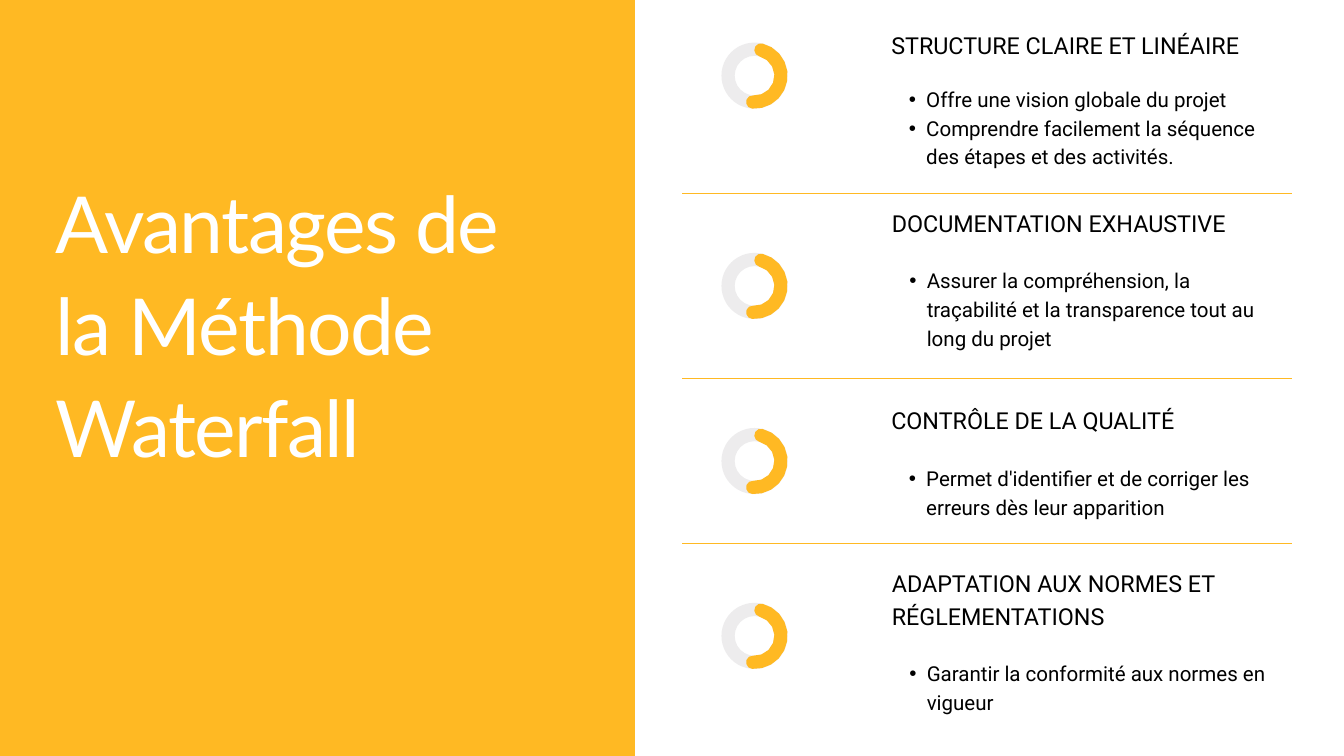
from dataclasses import dataclass
from math import cos, radians, sin

from lxml.etree import SubElement
from pptx import Presentation
from pptx.dml.color import RGBColor
from pptx.enum.shapes import MSO_CONNECTOR, MSO_SHAPE
from pptx.enum.text import MSO_ANCHOR, MSO_AUTO_SIZE, PP_ALIGN
from pptx.oxml.ns import qn
from pptx.util import Cm, Pt

COLORS = {"yellow": "FFB923", "grey": "EDECED", "black": "000000", "white": "FFFFFF"}
RING_X, RING_R, RING_W = 28.52, 1.25, 0.5
TEXT_W = 14.25


@dataclass
class Benefit:
    heading: str
    points: list[str]
    x: float
    heading_y: float
    heading_h: float
    list_y: float
    list_h: float
    ring_y: float


BENEFITS = [
    Benefit("STRUCTURE CLAIRE ET LINÉAIRE",
            ["Offre une vision globale du projet",
             "Comprendre facilement la séquence des étapes et des activités."],
            33.69, 1.02, 1.14, 3.13, 3.18, 2.86),
    Benefit("DOCUMENTATION EXHAUSTIVE",
            ["Assurer la compréhension, la traçabilité et la transparence "
             "tout au long du projet"],
            33.71, 7.72, 1.14, 9.98, 3.18, 10.81),
    Benefit("CONTRÔLE DE LA QUALITÉ",
            ["Permet d'identifier et de corriger les erreurs dès leur apparition"],
            33.69, 15.19, 1.14, 17.46, 2.08, 17.43),
    Benefit("ADAPTATION AUX NORMES ET RÉGLEMENTATIONS",
            ["Garantir la conformité aux normes en vigueur"],
            33.71, 21.34, 2.36, 24.83, 2.08, 24.04),
]
DIVIDERS = [7.31, 14.32, 20.54]


def rgb(name: str) -> RGBColor:
    return RGBColor.from_string(COLORS[name])


def place(sp, x: float, y: float, w: float, h: float) -> None:
    sp.left, sp.top, sp.width, sp.height = Cm(x), Cm(y), Cm(w), Cm(h)


def write(sp, *lines: str, size: float, leading: float, font: str = "Roboto",
          color: str = "black", bullet: bool = False, spacing: int = 0) -> None:
    tf = sp.text_frame
    tf.word_wrap = True
    tf.auto_size = MSO_AUTO_SIZE.NONE
    tf.vertical_anchor = MSO_ANCHOR.TOP
    tf.margin_left = tf.margin_right = tf.margin_top = tf.margin_bottom = 0
    for i, line in enumerate(lines):
        p = tf.paragraphs[0] if i == 0 else tf.add_paragraph()
        p.alignment = PP_ALIGN.LEFT
        p.line_spacing = Pt(leading)
        p.space_before = p.space_after = Pt(0)
        if bullet:
            p.level = 1
            pPr = p._p.get_or_add_pPr()
            pPr.set("marL", str(Cm(1.32)))
            pPr.set("indent", str(-Cm(0.66)))
            SubElement(pPr, qn("a:buFont")).set("typeface", "Arial")
            SubElement(pPr, qn("a:buChar")).set("char", "•")
        r = p.add_run()
        r.text = line
        r.font.name = font
        r.font.size = Pt(size)
        r.font.bold = False
        r.font.color.rgb = rgb(color)
        if spacing:
            r._r.get_or_add_rPr().set("spc", str(spacing))


def paint(sp, color: str) -> None:
    sp.shadow.inherit = False
    sp.fill.solid()
    sp.fill.fore_color.rgb = rgb(color)
    sp.line.fill.background()


def arc(x: float, y: float, r: float, start: float, end: float,
        steps: int) -> list[tuple[int, int]]:
    angles = [radians(start + (end - start) * i / steps) for i in range(steps + 1)]
    return [(Cm(x + r * sin(a)), Cm(y - r * cos(a))) for a in angles]


def cap(y: float, angle: float, turn: float) -> list[tuple[int, int]]:
    a, mid = radians(angle), RING_R - RING_W / 2
    x, y = RING_X + mid * sin(a), y - mid * cos(a)
    return arc(x, y, RING_W / 2, turn, turn + 180, 5)[1:-1]


def ring(s, y: float, start: float = 14, end: float = 184) -> None:
    sp = s.shapes.add_shape(MSO_SHAPE.DONUT, Cm(RING_X - RING_R), Cm(y - RING_R),
                            Cm(2 * RING_R), Cm(2 * RING_R))
    sp.adjustments[0] = RING_W / (2 * RING_R)
    paint(sp, "grey")
    points = (arc(RING_X, y, RING_R, start, end, 10) + cap(y, end, end)
              + arc(RING_X, y, RING_R - RING_W, end, start, 7)
              + cap(y, start, start + 180))
    builder = s.shapes.build_freeform(*points[0])
    builder.add_line_segments(points[1:], close=True)
    paint(builder.convert_to_shape(), "yellow")


def divider(s, y: float) -> None:
    line = s.shapes.add_connector(MSO_CONNECTOR.STRAIGHT,
                                  Cm(25.78), Cm(y), Cm(48.82), Cm(y))
    line.line.color.rgb = rgb("yellow")
    line.line.width = Pt(1.5)
    SubElement(line._element.spPr, qn("a:effectLst"))


def benefit(s, body, item: Benefit) -> None:
    ring(s, item.ring_y)
    heading = s.shapes.add_textbox(Cm(item.x), Cm(item.heading_y),
                                   Cm(TEXT_W), Cm(item.heading_h))
    write(heading, item.heading, size=25, leading=35)
    place(body, item.x, item.list_y, TEXT_W, item.list_h)
    write(body, *item.points, size=22, leading=30.8, bullet=True)


def main() -> None:
    prs = Presentation()
    prs.slide_width, prs.slide_height = Cm(50.8), Cm(28.58)
    s = prs.slides.add_slide(prs.slide_layouts[4])
    title, *bodies = list(s.placeholders)[:5]

    panel = s.shapes.add_shape(MSO_SHAPE.RECTANGLE, 0, 0, Cm(24), prs.slide_height)
    paint(panel, "yellow")
    title._element.addprevious(panel._element)
    place(title, 2.11, 6.3, 18, 15.4)
    write(title, "Avantages de la Méthode Waterfall", size=84.2, leading=109.5,
          font="Lato", color="white", spacing=-170)

    for body, item in zip(bodies, BENEFITS):
        benefit(s, body, item)
    for y in DIVIDERS:
        divider(s, y)
    prs.save("out.pptx")


if __name__ == "__main__":
    main()
